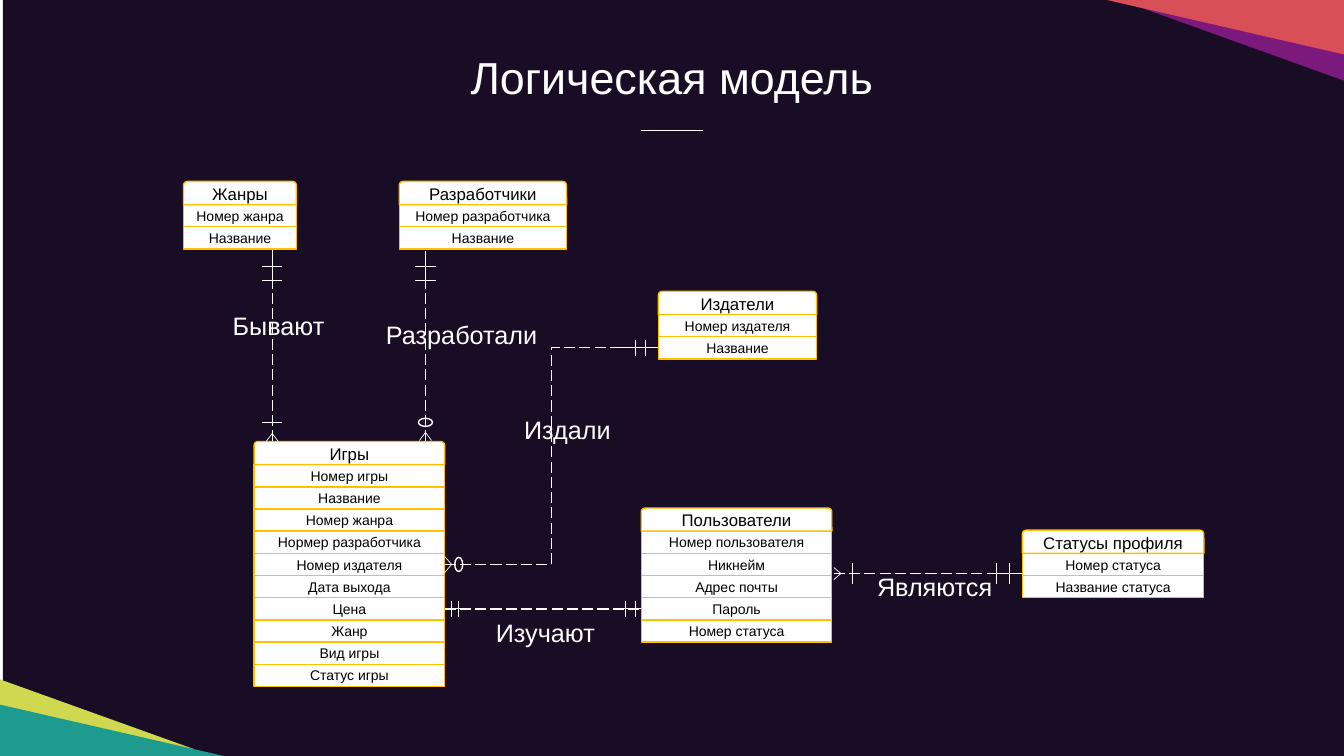
from pptx import Presentation
from pptx.dml.color import RGBColor
from pptx.enum.dml import MSO_LINE
from pptx.enum.shapes import MSO_CONNECTOR, MSO_SHAPE
from pptx.enum.text import MSO_ANCHOR, PP_ALIGN
from pptx.oxml.ns import qn
from pptx.util import Inches, Pt
from lxml.etree import SubElement

WHITE, BLACK, AMBER, NIGHT = "FFFFFF", "000000", "FFC000", "190C25"
HEAD_H, ROW_H = 0.23, 0.22
MARGINS = ("margin_left", "margin_right", "margin_top", "margin_bottom")

# name: (left, top, width, fields)
ENTITIES = {
    "Жанры": (1.82, 1.8, 1.12, ["Номер жанра", "Название"]),
    "Разработчики": (3.96, 1.8, 1.66, ["Номер разработчика", "Название"]),
    "Издатели": (6.53, 2.89, 1.57, ["Номер издателя", "Название"]),
    "Статусы профиля": (10.14, 5.26, 1.8, ["Номер статуса", "Название статуса"]),
    "Пользователи": (6.36, 5.04, 1.89, [
        "Номер пользователя", "Никнейм", "Адрес почты", "Пароль", "Номер статуса"]),
    "Игры": (2.52, 4.38, 1.89, [
        "Номер игры", "Название", "Номер жанра", "Нормер разработчика",
        "Номер издателя", "Дата выхода", "Цена", "Жанр", "Вид игры", "Статус игры"]),
}

# Relation names: (text, left, top, width)
LABELS = [
    ("Бывают", 2.21, 3.03, 1.26),
    ("Разработали", 3.73, 3.12, 1.88),
    ("Издали", 5.1, 4.06, 1.14),
    ("Являются", 8.6, 5.62, 1.45),
    ("Изучают", 4.82, 6.08, 1.33),
]

# Line ends: x, y, direction away from the entity, then the marks by distance
ENDS = [
    (2.7, 2.48, 0, 1, dict(bars=[0.16, 0.3], stub=0.34)),
    (2.7, 4.38, 0, -1, dict(bars=[0.19], crow=0.08)),
    (4.22, 2.49, 0, 1, dict(bars=[0.15, 0.29], stub=0.34)),
    (4.22, 4.37, 0, -1, dict(crow=0.08, ring=0.18)),
    (4.41, 5.6, 1, 0, dict(crow=0.07, ring=0.14, spread=0.08)),
    (6.53, 3.45, -1, 0, dict(bars=[0.13, 0.23], stub=0.38, half=0.08)),
    (8.27, 5.69, 1, 0, dict(bars=[0.18], crow=0.07)),
    (10.14, 5.69, -1, 0, dict(bars=[0.13, 0.26], stub=0.31)),
    (4.41, 6.04, 1, 0, dict(bars=[0.07, 0.14], stub=0.18, half=0.08)),
    (6.36, 6.04, -1, 0, dict(bars=[0.06, 0.16], stub=0.18, half=0.08)),
]


def rgb(color):
    return RGBColor.from_string(color)


def box(*lengths):
    return [Inches(v) for v in lengths]


def paint(sp, fill=None, line=None):
    sp.shadow.inherit = False
    if fill:
        sp.fill.solid()
        sp.fill.fore_color.rgb = rgb(fill)
    else:
        sp.fill.background()
    if line:
        sp.line.color.rgb = rgb(line)
        sp.line.width = Pt(1)
    else:
        sp.line.fill.background()
    return sp


def write(sp, text, size, color, align):
    tf = sp.text_frame
    tf.word_wrap = True
    p = tf.paragraphs[0]
    p.alignment = align
    r = p.add_run()
    r.text = text
    for key, value in dict(name="Arial", size=Pt(size)).items():
        setattr(r.font, key, value)
    r.font.color.rgb = rgb(color)
    return tf


def line(s, x1, y1, x2, y2, width=0.5, dashed=False, kind=MSO_CONNECTOR.STRAIGHT):
    c = s.shapes.add_connector(kind, *box(x1, y1, x2, y2))
    c.line.color.rgb = rgb(WHITE)
    c.line.width = Pt(width)
    if dashed:
        c.line.dash_style = MSO_LINE.LONG_DASH
    SubElement(c._element.spPr, qn("a:effectLst"))
    return c


def wedge(s, points, color):
    start, *rest = [box(*point) for point in points]
    fb = s.shapes.build_freeform(*start)
    fb.add_line_segments(rest)
    paint(fb.convert_to_shape(), color)


def backdrop(s, width, height):
    paint(s.shapes.add_shape(MSO_SHAPE.RECTANGLE, *box(0.03, 0, width - 0.03, height)), NIGHT)
    # Bottom left corner
    wedge(s, [(0, height - 0.25), (0, height - 0.76), (1.92, height - 0.07)], "D0D84F")
    paint(s.shapes.add_shape(MSO_SHAPE.RIGHT_TRIANGLE,
                             *box(0, height - 0.51, 2.22, 0.51)), "1E9B8F")
    # Top right corner
    wedge(s, [(width, 0.27), (width, 0.8), (width - 2.03, 0.07)], "7B197C")
    sp = s.shapes.add_shape(MSO_SHAPE.RIGHT_TRIANGLE, *box(width - 2.35, 0, 2.35, 0.54))
    paint(sp, "D94F57").rotation = 180


def title(s, x, y, w, h):
    sp = s.shapes.add_textbox(*box(x, y, w, h))
    tf = write(sp, "Логическая модель", 32, WHITE, PP_ALIGN.CENTER)
    tf.margin_left = tf.margin_right = 0
    # Short rule under the heading
    mid, rule_y = x + w / 2, y + h + 0.21
    line(s, mid - 0.31, rule_y, mid + 0.31, rule_y)


def entity(s, name, x, y, w, fields):
    """Draws the field rows and the header; returns the rows by field."""
    def cell(shape, text, top, h, size):
        sp = paint(s.shapes.add_shape(shape, *box(x, top, w, h)), WHITE, AMBER)
        tf = write(sp, text, size, BLACK, PP_ALIGN.CENTER)
        tf.vertical_anchor = MSO_ANCHOR.MIDDLE
        for margin in MARGINS:
            setattr(tf, margin, 0)
        return sp

    rows = {field: cell(MSO_SHAPE.RECTANGLE, field, y + HEAD_H + i * ROW_H, ROW_H, 10)
            for i, field in enumerate(fields)}
    cell(MSO_SHAPE.ROUND_2_SAME_RECTANGLE, name, y, HEAD_H, 12)
    return rows


def line_end(s, x, y, dx, dy, bars=(), stub=0, crow=0, ring=0, half=0.1, spread=0.06):
    def at(along, across):
        return x + dx * along + dy * across, y + dy * along + dx * across

    for d in bars:
        line(s, *at(d, -half), *at(d, half))
    if stub:
        line(s, x, y, *at(stub, 0), 0.75)
    if crow:
        for side in (-spread, spread):
            line(s, *at(0, side), *at(crow, 0))
    if ring:
        cx, cy = at(ring, 0)
        w, h = (0.08, 0.14) if dx else (0.14, 0.08)
        paint(s.shapes.add_shape(MSO_SHAPE.OVAL, *box(cx - w / 2, cy - h / 2, w, h)), None, WHITE)


def relations(s, rows):
    games = rows["Игры"]
    line(s, 2.7, 4.38, 2.7, 2.48, 1, True)
    line(s, 4.22, 4.38, 4.22, 2.49, 1, True)
    line(s, 8.27, 5.69, 10.14, 5.69, 1, True)
    joined = [
        (games["Номер издателя"], rows["Издатели"]["Название"],
         (4.41, 5.6, 6.53, 3.45), MSO_CONNECTOR.ELBOW),
        (games["Цена"], rows["Пользователи"]["Пароль"],
         (4.41, 6.04, 6.36, 6.04), MSO_CONNECTOR.STRAIGHT),
    ]
    for first, last, ends, kind in joined:
        c = line(s, *ends, 1, True, kind)
        c.begin_connect(first, 3)
        c.end_connect(last, 1)
    for x, y, dx, dy, marks in ENDS:
        line_end(s, x, y, dx, dy, **marks)
    for text, x, y, w in LABELS:
        write(s.shapes.add_textbox(*box(x, y, w, 0.4)), text, 18, WHITE, PP_ALIGN.LEFT)


def main():
    prs = Presentation()
    prs.slide_width, prs.slide_height = box(13.33, 7.5)
    s = prs.slides.add_slide(prs.slide_layouts[6])
    backdrop(s, 13.33, 7.5)
    title(s, 4.57, 0.44, 4.19, 0.64)
    rows = {name: entity(s, name, *spot) for name, spot in ENTITIES.items()}
    relations(s, rows)
    prs.save("out.pptx")


if __name__ == "__main__":
    main()
